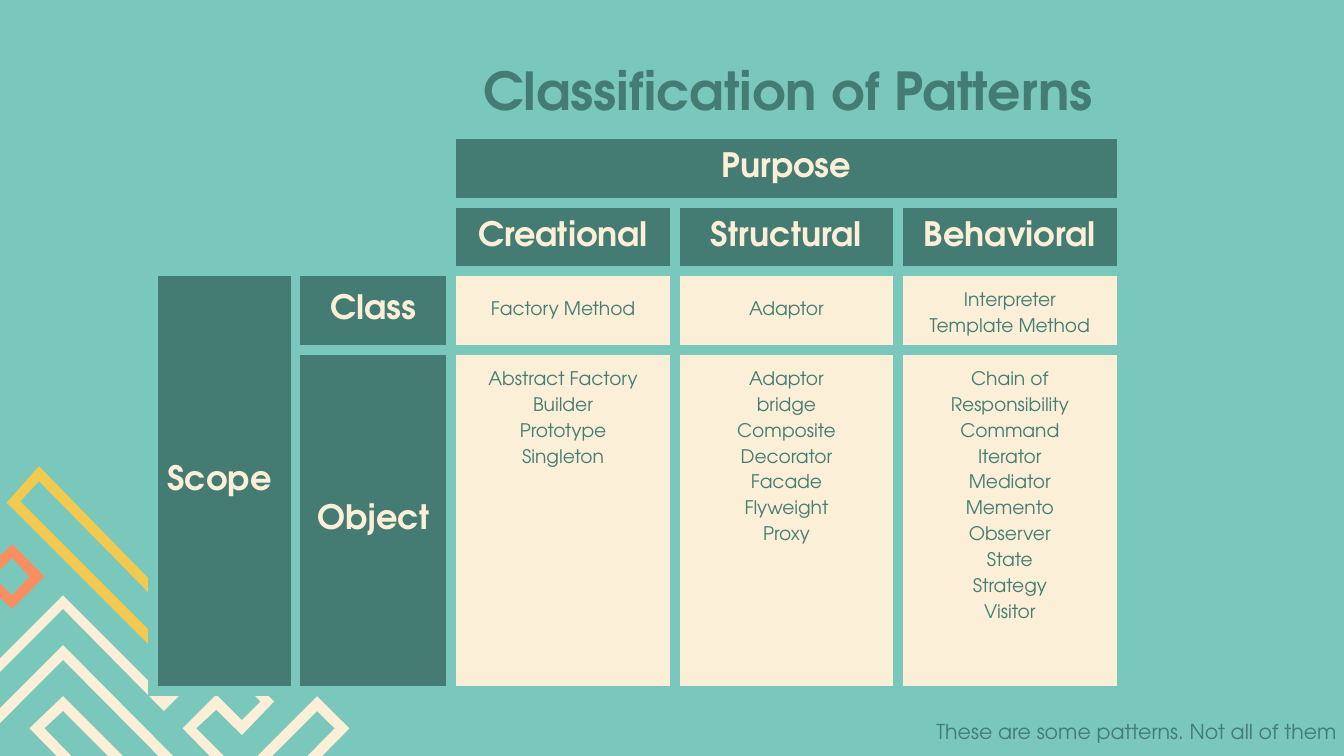
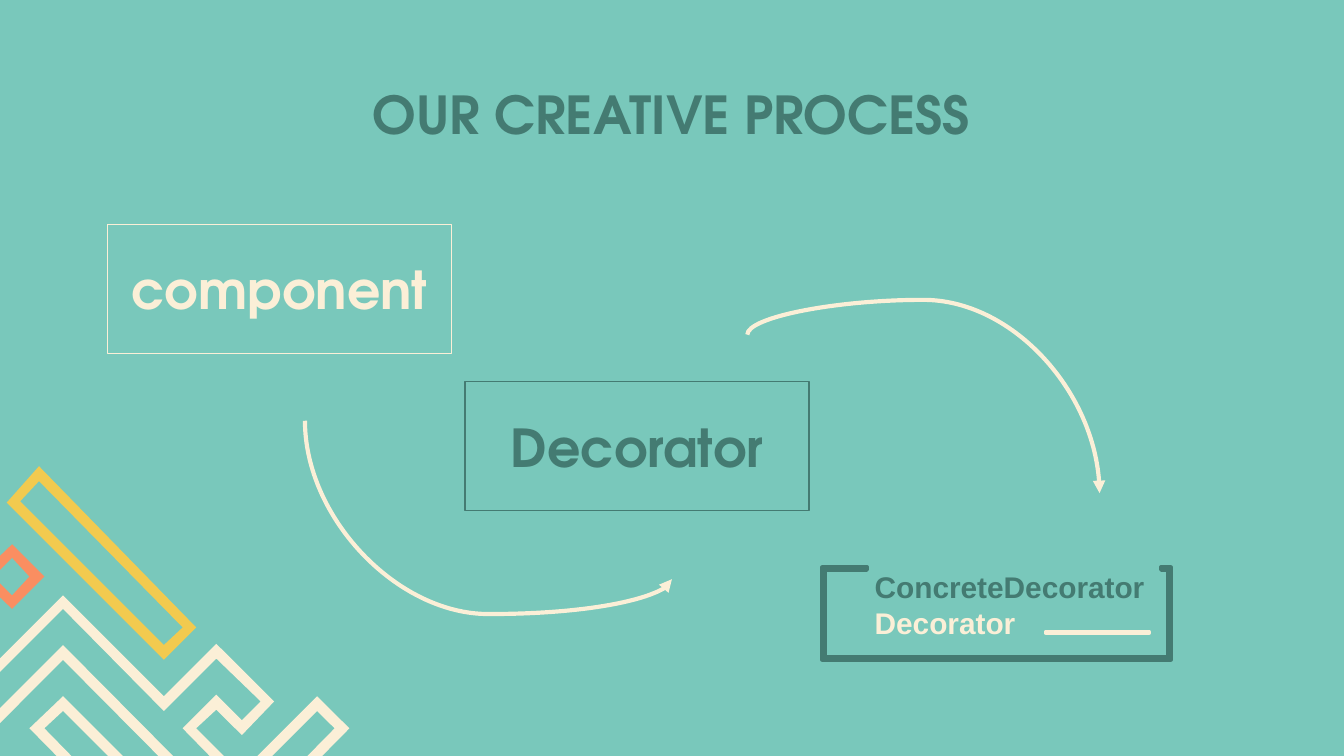
from typing import NamedTuple

from lxml.etree import SubElement
from pptx import Presentation
from pptx.dml.color import RGBColor
from pptx.enum.shapes import MSO_CONNECTOR, MSO_SHAPE
from pptx.enum.text import MSO_ANCHOR, MSO_AUTO_SIZE, PP_ALIGN
from pptx.oxml import parse_xml
from pptx.oxml.ns import nsdecls, qn
from pptx.util import Pt

TEAL = RGBColor(0x79, 0xC8, 0xBB)
DARK = RGBColor(0x44, 0x7B, 0x72)
CREAM = RGBColor(0xFB, 0xEF, 0xD7)
CORAL = RGBColor(0xFA, 0x8E, 0x61)
YELLOW = RGBColor(0xF2, 0xCA, 0x4F)
FONT = "TeX Gyre Adventor"
INSET = Pt(7.2)
ROW_HEIGHT = 36.6
COLUMN_WIDTHS = (76.3, 83.5, 119.7, 119.7, 119.7)
ROW_COUNT = 8

Points = tuple[tuple[float, float], ...]


class Box(NamedTuple):
    left: float
    top: float
    width: float
    height: float

    def lengths(self) -> list[Pt]:
        return [Pt(value) for value in self]


class Ornament(NamedTuple):
    color: RGBColor
    inner: Points
    outer: Points


class Block(NamedTuple):
    """A table cell, or a run of merged cells."""
    row: int
    column: int
    text: str
    rows: int = 1
    columns: int = 1
    heading: bool = True
    anchor: MSO_ANCHOR = MSO_ANCHOR.MIDDLE
    spacing: float | None = None


class Stage(NamedTuple):
    text: str
    box: Box
    color: RGBColor


class Arrow(NamedTuple):
    start: tuple[float, float]
    end: tuple[float, float]
    bend: int


ORNAMENTS = (
    Ornament(CREAM,
             ((33.8, 380.9), (70.6, 417.6), (60.5, 427.7), (23.8, 390.2)),
             ((33.8, 373), (15.8, 390.2), (60.5, 435.6), (78.5, 417.6))),
    Ornament(CREAM,
             ((33.8, 326.2), (87.8, 380.9), (115.9, 352.8), (139.7, 375.8),
              (129.6, 385.9), (115.9, 372.2), (97.9, 390.2), (128.9, 421.9),
              (169.9, 380.9), (179.3, 390.2), (128.9, 441.4), (33.8, 345.6),
              (-7.2, 386.6), (-17.3, 377.3)),
             ((33.8, 319), (-24.5, 377.3), (-7.2, 394.6), (33.8, 353.5),
              (128.9, 449.3), (187.2, 390.2), (169.9, 373), (128.9, 414),
              (105.1, 390.2), (115.9, 380.2), (129.6, 393.8), (146.9, 375.8),
              (115.9, 344.9), (87.8, 373))),
    Ornament(CORAL,
             ((6.5, 298.8), (15.8, 308.9), (6.5, 319), (-3.6, 308.9)),
             ((6.5, 291.6), (-11.5, 308.9), (6.5, 326.2), (23.8, 308.9))),
    Ornament(YELLOW,
             ((20.9, 257.8), (97.9, 336.2), (87.8, 345.6), (10.8, 268.6)),
             ((20.9, 249.8), (3.6, 269.3), (87.8, 353.5), (105.1, 336.2))),
)

OBJECT_STYLE = dict(rows=5, heading=False, anchor=MSO_ANCHOR.TOP, spacing=1.5)
BLOCKS = (
    Block(0, 2, "Purpose", columns=3),
    Block(1, 2, "Creational"),
    Block(1, 3, "Structural"),
    Block(1, 4, "Behavioral"),
    Block(2, 0, "Scope ", rows=6),
    Block(2, 1, "Class"),
    Block(2, 2, "Factory Method", heading=False),
    Block(2, 3, "Adaptor", heading=False),
    Block(2, 4, "Interpreter\nTemplate Method", heading=False, spacing=1.5),
    Block(3, 1, "Object", rows=5),
    Block(3, 2, "Abstract Factory\nBuilder\nPrototype\nSingleton", **OBJECT_STYLE),
    Block(3, 3, "Adaptor\nbridge\nComposite\nDecorator\nFacade\nFlyweight\nProxy",
          **OBJECT_STYLE),
    Block(3, 4, "Chain of Responsibility\nCommand\nIterator\nMediator\nMemento\n"
          "Observer\nState\nStrategy\nVisitor", **OBJECT_STYLE),
)

STAGES = (
    Stage("component", Box(57.6, 120.2, 184.3, 69.1), CREAM),
    Stage("Decorator", Box(249.1, 204.5, 184.3, 69.1), DARK),
)
ARROWS = (
    Arrow((400.3, 179.3), (589, 264.2), -22000),
    Arrow((163.4, 225.4), (360, 310.3), 122000),
)
BRACKET = ((440.6, 303.8), (440.6, 353.5), (627.1, 353.5), (627.1, 303.8),
           (622.1, 303.8), (622.1, 305.3), (625.7, 305.3), (625.7, 352.1),
           (442.1, 352.1), (442.1, 305.3), (464.4, 305.3), (464.4, 303.8))
UNDERLINE = ((560.2, 338.4), (560.2, 339.1), (615.6, 339.1), (615.6, 338.4))


def add_text(frame, text: str, *, size: float, color: RGBColor, bold: bool = False,
             font: str = FONT, align: PP_ALIGN = PP_ALIGN.CENTER,
             spacing: float | None = None) -> None:
    """Append one paragraph per line, filling the empty first one."""
    for line in text.split("\n"):
        first = frame.paragraphs[0]
        paragraph = first if not first.runs else frame.add_paragraph()
        paragraph.alignment = align
        paragraph.line_spacing = spacing
        run = paragraph.add_run()
        run.text = line
        run.font.name, run.font.size, run.font.bold = font, Pt(size), bold
        run.font.color.rgb = color


def set_insets(holder, anchor: MSO_ANCHOR) -> None:
    """Set the margins and anchor of a text frame or a table cell."""
    holder.margin_left = holder.margin_right = INSET
    holder.margin_top = holder.margin_bottom = INSET
    holder.vertical_anchor = anchor


def paint(shape, fill: RGBColor | None, line: RGBColor | None = None,
          width: float = 0) -> None:
    shape.shadow.inherit = False
    if fill is None:
        shape.fill.background()
    else:
        shape.fill.solid()
        shape.fill.fore_color.rgb = fill
    if line is None:
        shape.line.fill.background()
    else:
        shape.line.color.rgb = line
        shape.line.width = Pt(width)


def add_outline(slide, *contours: Points):
    """Draw closed contours as one freeform."""
    loops = [[(Pt(x), Pt(y)) for x, y in contour] for contour in contours]
    builder = slide.shapes.build_freeform(*loops[0][0], scale=1.0)
    for index, loop in enumerate(loops):
        if index:
            builder.move_to(*loop[0])
        builder.add_line_segments(loop[1:], close=True)
    return builder.convert_to_shape()


def decorate_layout(layout, slide) -> None:
    """Draw the background and ornaments on the layout, by way of a slide."""
    layout.background.fill.solid()
    layout.background.fill.fore_color.rgb = TEAL
    for index, ornament in enumerate(ORNAMENTS):
        shape = add_outline(slide, ornament.inner, ornament.outer)
        paint(shape, ornament.color)
        shape.element.nvSpPr.cNvPr.set("id", str(100 + index))
        layout.shapes.element.insert(2 + index, shape.element)


def set_title(slide, text: str, box: Box) -> None:
    title = slide.shapes.title
    title.left, title.top, title.width, title.height = box.lengths()
    frame = title.text_frame
    frame.word_wrap = True
    frame.auto_size = MSO_AUTO_SIZE.NONE
    set_insets(frame, MSO_ANCHOR.BOTTOM)
    add_text(frame, text, size=28, color=DARK, bold=True)


def add_text_box(slide, box: Box):
    frame = slide.shapes.add_textbox(*box.lengths()).text_frame
    frame.word_wrap = True
    frame.auto_size = MSO_AUTO_SIZE.SHAPE_TO_FIT_TEXT
    set_insets(frame, MSO_ANCHOR.TOP)
    return frame


def set_borders(cell, color: RGBColor, width: float) -> None:
    properties = cell._tc.get_or_add_tcPr()
    for index, side in enumerate("LRTB"):
        properties.insert(index, parse_xml(
            f'<a:ln{side} {nsdecls("a")} w="{Pt(width)}"><a:solidFill>'
            f'<a:srgbClr val="{color}"/></a:solidFill></a:ln{side}>'))


def add_pattern_table(slide) -> None:
    box = Box(82, 72, sum(COLUMN_WIDTHS), ROW_COUNT * ROW_HEIGHT)
    table = slide.shapes.add_table(ROW_COUNT, len(COLUMN_WIDTHS), *box.lengths()).table
    table.first_row = table.horz_banding = False
    for column, width in zip(table.columns, COLUMN_WIDTHS):
        column.width = Pt(width)
    for row in table.rows:
        row.height = Pt(ROW_HEIGHT)
    for cell in table.iter_cells():
        cell.fill.background()
        set_insets(cell, MSO_ANCHOR.TOP)
        set_borders(cell, TEAL, 6)
    for block in BLOCKS:
        cell = table.cell(block.row, block.column)
        if block.rows * block.columns > 1:
            cell.merge(table.cell(block.row + block.rows - 1,
                                  block.column + block.columns - 1))
        cell.fill.solid()
        cell.fill.fore_color.rgb = DARK if block.heading else CREAM
        cell.vertical_anchor = block.anchor
        add_text(cell.text_frame, block.text, size=18 if block.heading else 10,
                 color=CREAM if block.heading else DARK, bold=block.heading,
                 spacing=block.spacing)


def add_curved_arrow(slide, arrow: Arrow) -> None:
    """Draw a curve that leaves and arrives vertically: a flipped, turned connector."""
    (x1, y1), (x2, y2) = arrow.start, arrow.end
    middle_x, middle_y = (x1 + x2) / 2, (y1 + y2) / 2
    half_width, half_height = (y2 - y1) / 2, (x2 - x1) / 2
    connector = slide.shapes.add_connector(
        MSO_CONNECTOR.CURVE,
        Pt(middle_x + half_width), Pt(middle_y - half_height),
        Pt(middle_x - half_width), Pt(middle_y + half_height))
    connector.line.color.rgb = CREAM
    connector.line.width = Pt(2.25)
    properties = connector.element.spPr
    properties.find(qn("a:xfrm")).set("rot", str(270 * 60000))
    geometry = properties.find(qn("a:prstGeom"))
    guides = geometry.find(qn("a:avLst"))
    if guides is None:
        guides = SubElement(geometry, qn("a:avLst"))
    SubElement(guides, qn("a:gd"), name="adj1", fmla=f"val {arrow.bend}")
    SubElement(properties.find(qn("a:ln")), qn("a:tailEnd"), type="triangle")
    SubElement(properties, qn("a:effectLst"))


def add_stage(slide, stage: Stage) -> None:
    shape = slide.shapes.add_shape(MSO_SHAPE.RECTANGLE, *stage.box.lengths())
    paint(shape, None, stage.color, 0.75)
    set_insets(shape.text_frame, MSO_ANCHOR.MIDDLE)
    add_text(shape.text_frame, stage.text, size=28, color=stage.color, bold=True)


def build_classification(slide) -> None:
    set_title(slide, "Classification of Patterns", Box(206, 26.6, 432, 45.4))
    add_pattern_table(slide)
    remark = add_text_box(slide, Box(494.6, 378.7, 283, 28))
    add_text(remark, "These are some patterns. Not all of them", size=11,
             color=DARK, align=PP_ALIGN.LEFT)


def build_process(slide) -> None:
    set_title(slide, "OUR CREATIVE PROCESS", Box(46.8, 39.6, 625.7, 45.4))
    for outline, color in ((BRACKET, DARK), (UNDERLINE, CREAM)):
        paint(add_outline(slide, outline), color, color, 2.25)
    for arrow in ARROWS:
        add_curved_arrow(slide, arrow)
    for stage in STAGES:
        add_stage(slide, stage)
    result = add_text_box(slide, Box(461.5, 297.4, 236.2, 53.3))
    for text, color in (("ConcreteDecorator", DARK), ("Decorator", CREAM)):
        add_text(result, text, size=16, color=color, bold=True, font="Arial",
                 align=PP_ALIGN.LEFT)


def main() -> None:
    presentation = Presentation()
    presentation.slide_width, presentation.slide_height = Pt(720), Pt(405)
    layout = presentation.slide_layouts[5]
    classification = presentation.slides.add_slide(layout)
    decorate_layout(layout, classification)
    build_classification(classification)
    build_process(presentation.slides.add_slide(layout))
    presentation.save("out.pptx")


if __name__ == "__main__":
    main()
